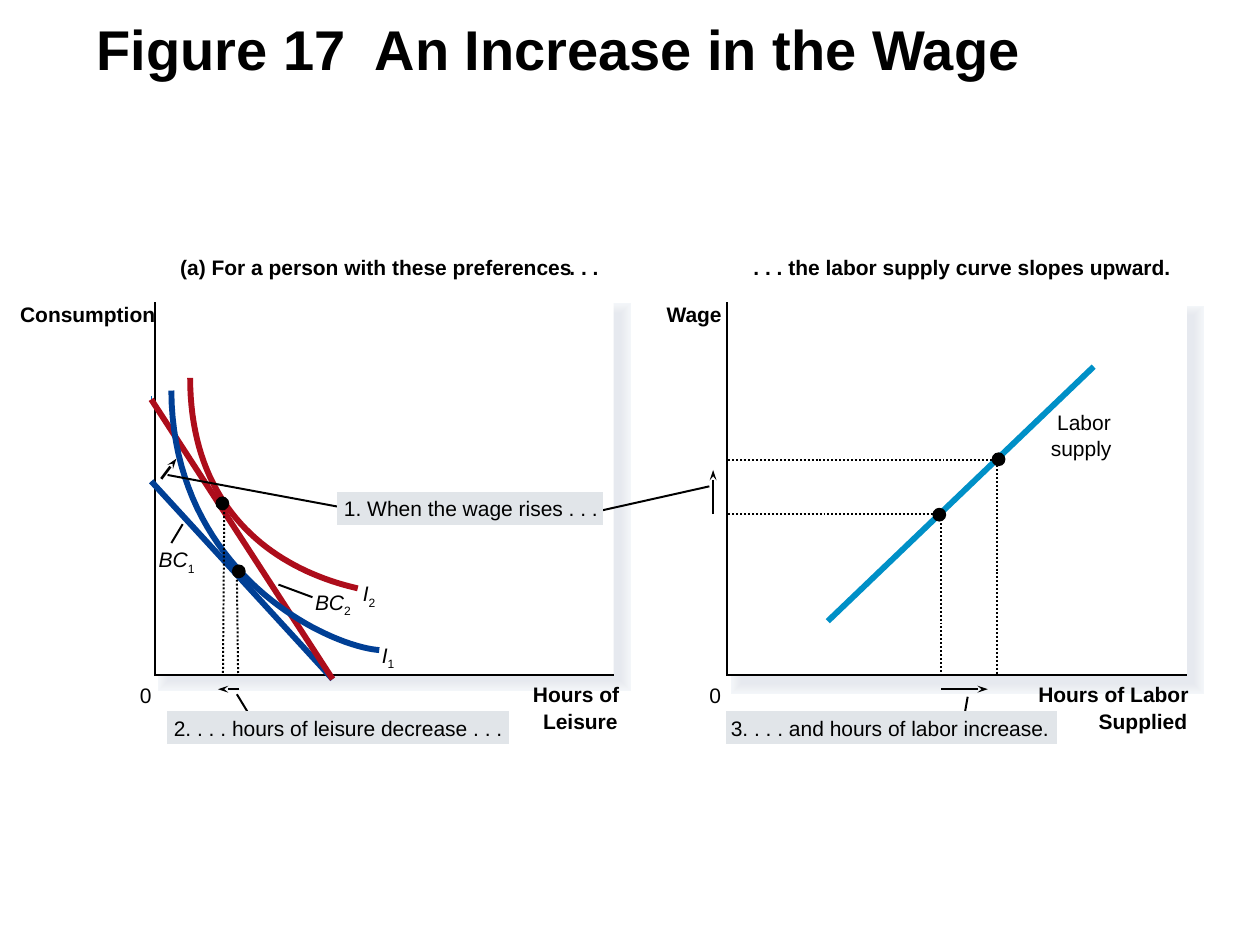
from pptx import Presentation
from pptx.dml.color import RGBColor
from pptx.enum.dml import MSO_LINE
from pptx.enum.shapes import MSO_CONNECTOR, MSO_SHAPE
from pptx.enum.text import MSO_ANCHOR, MSO_AUTO_SIZE, PP_ALIGN
from pptx.oxml.ns import qn
from pptx.util import Inches, Pt
from lxml.etree import SubElement

BLACK, WHITE, GRAY = "000000", "FFFFFF", "E1E5E9"
BLUE, RED, CYAN = "003F95", "AD0D1B", "0090C7"
THICK, THIN, ARROW = 3.37, 1.13, 1.5

TITLE = "Figure 17  An Increase in the Wage"
SHADOWS = [(1.34, 2.49, 3.58, 2.91), (5.89, 2.51, 3.58, 2.91)]
SHADOW_LAYERS = [
    ("F3F6F9", 12.25), ("F2F4F8", 11.11), ("F1F4F7", 10), ("F0F2F5", 8.87),
    ("EEF1F4", 7.75), ("EDEFF3", 6.63), ("EBEEF2", 5.5), ("EAECF1", 4.5),
    ("E9EBF0", 3.37), ("E7EAEF", 2.25), ("E6E9EF", 1.13),
]
PANELS = [(1.23, 2.4, 3.64, 2.96), (5.77, 2.4, 3.65, 2.96)]

STRAIGHT_CURVES = [
    ((1.2, 3.17), (1.21, 3.17), "0069B5"),
    ((1.2, 3.82), (2.64, 5.39), BLUE),
    ((2.64, 5.39), (1.2, 3.17), RED),
    ((8.68, 2.91), (6.57, 4.93), CYAN),
]
INDIFFERENCE_CURVES = [
    ([(1.36, 3.1), (1.37, 4.56), (2.61, 5.13), (3.01, 5.16)], BLUE),
    ([(1.51, 3), (1.51, 4.02), (2.14, 4.51), (2.84, 4.67)], RED),
]
ARROWS = [
    ((1.9, 5.47), (1.73, 5.47)),
    ((7.47, 5.47), (7.84, 5.47)),
    ((1.28, 3.8), (1.4, 3.64)),
    ((5.66, 4.08), (5.66, 3.73)),
]
LEADERS = [
    ((2.48, 4.74), (2.21, 4.64)),
    ((1.45, 4.16), (1.36, 4.31)),
    ((1.88, 5.51), (2.02, 5.74)),
    ((7.68, 5.53), (7.64, 5.76)),
    ((2.73, 4.03), (1.33, 3.77)),
    ((4.78, 4.05), (5.63, 3.86)),
]
LEISURE_GUIDES = [((1.77, 5.34), (1.78, 4)), ((1.88, 4.57), (1.89, 5.36))]
LABOR_GUIDES = [
    [(5.78, 4.08), (7.47, 4.08), (7.47, 5.34)],
    [(5.78, 3.65), (7.91, 3.65), (7.91, 5.36)],
]
DOTS = [(1.71, 3.94), (1.84, 4.48), (7.4, 4.03), (7.87, 3.59)]
DOT_SIZE = 0.11

CALLOUTS = [
    ("1. When the wage rises . . .", (2.68, 3.91, 2.1, 0.25), 0.05),
    ("2. . . . hours of leisure decrease . . .", (1.33, 5.65, 2.7, 0.25), 0.05),
    ("3. . . . and hours of labor increase.", (5.77, 5.65, 2.61, 0.25), 0.03),
]
BOLD_LABELS = [
    ("(a) For a person with these preferences", 1.43, 2.02, 3.18),
    (". . .", 4.52, 2.02, 0.26),
    (". . . the labor supply curve slopes upward.", 5.98, 2.02, 3.34),
    ("Consumption", 0.16, 2.39, 1.1),
    ("Wage", 5.29, 2.39, 0.47),
    ("Hours of", 4.23, 5.41, 0.71),
    ("Leisure", 4.31, 5.62, 0.62),
    ("Hours of Labor", 8.24, 5.41, 1.22),
    ("Supplied", 8.72, 5.62, 0.73),
]
PLAIN_LABELS = [
    ("0", 1.11, 5.42, 0.11),
    ("0", 5.63, 5.42, 0.11),
    ("Labor", 8.39, 3.25, 0.45),
    ("supply", 8.34, 3.46, 0.52),
]
CURVE_LABELS = [
    ("I", "1", 3.03, 5.1, 0.12),
    ("I", "2", 2.88, 4.61, 0.12),
    ("BC", "2", 2.5, 4.68, 0.31),
    ("BC", "1", 1.26, 4.34, 0.31),
]

presentation = Presentation()
presentation.slide_width, presentation.slide_height = Inches(10), Inches(7.5)
slide = presentation.slides.add_slide(presentation.slide_layouts[6])


def color(hex_text):
    return RGBColor.from_string(hex_text)


def style_line(shape, line_color, width, dotted=False):
    line = shape.line
    line.color.rgb = color(line_color)
    line.width = Pt(width)
    if dotted:
        line.dash_style = MSO_LINE.ROUND_DOT
    outline = shape._element.spPr.find(qn("a:ln"))
    SubElement(outline, qn("a:miter"), lim="800000")
    return outline


def add_block(box, fill, line_width=0, kind=MSO_SHAPE.RECTANGLE):
    shape = slide.shapes.add_shape(kind, *map(Inches, box))
    shape.shadow.inherit = False
    shape.fill.solid()
    shape.fill.fore_color.rgb = color(fill)
    if line_width:
        style_line(shape, fill, line_width)
    else:
        shape.line.fill.background()
    return shape


def add_line(start, end, line_color=BLACK, width=THIN, dotted=False, arrow=False):
    connector = slide.shapes.add_connector(
        MSO_CONNECTOR.STRAIGHT, *map(Inches, start + end))
    outline = style_line(connector, line_color, width, dotted)
    if arrow:
        SubElement(outline, qn("a:tailEnd"), type="stealth", w="sm", len="med")
    SubElement(connector._element.spPr, qn("a:effectLst"))


def add_path(points, line_color=BLACK, width=THIN, dotted=False):
    corners = [(Inches(x), Inches(y)) for x, y in points]
    builder = slide.shapes.build_freeform(*corners[0])
    builder.add_line_segments(corners[1:], close=False)
    shape = builder.convert_to_shape()
    shape.shadow.inherit = False
    shape.fill.background()
    style_line(shape, line_color, width, dotted)


def bezier(controls, steps=40):
    points = []
    for step in range(steps + 1):
        t = step / steps
        weights = ((1 - t) ** 3, 3 * t * (1 - t) ** 2, 3 * t ** 2 * (1 - t), t ** 3)
        points.append(tuple(
            sum(weight * control[axis] for weight, control in zip(weights, controls))
            for axis in (0, 1)))
    return points


def write_text(shape, text, size=12, bold=False, italic=False, subscript="",
               insets=(0, 0, 0, 0), anchor=MSO_ANCHOR.TOP, wrap=False, spacing=None):
    frame = shape.text_frame
    frame.word_wrap = wrap
    frame.auto_size = MSO_AUTO_SIZE.NONE if wrap else MSO_AUTO_SIZE.SHAPE_TO_FIT_TEXT
    frame.vertical_anchor = anchor
    (frame.margin_left, frame.margin_top,
     frame.margin_right, frame.margin_bottom) = map(Inches, insets)
    paragraph = frame.paragraphs[0]
    paragraph.alignment = PP_ALIGN.LEFT
    if spacing:
        paragraph.line_spacing = spacing
    for content, lowered in ((text, False), (subscript, True)):
        if not content:
            continue
        run = paragraph.add_run()
        run.text = content
        run.font.name = "Arial"
        run.font.size = Pt(size)
        run.font.bold = bold
        run.font.italic = italic and not lowered
        run.font.color.rgb = color(BLACK)
        if lowered:
            run._r.get_or_add_rPr().set("baseline", "-25000")


def add_label(text, left, top, width, height=0.2, **text_format):
    box = slide.shapes.add_textbox(*map(Inches, (left, top, width, height)))
    write_text(box, text, **text_format)


add_label(TITLE, 0.67, 0.06, 9, 0.75, size=32, bold=True, wrap=True, spacing=0.8,
          insets=(0.1, 0.05, 0.1, 0.05), anchor=MSO_ANCHOR.MIDDLE)
for box in SHADOWS:
    for layer_color, layer_width in SHADOW_LAYERS:
        add_block(box, layer_color, layer_width)
for box in PANELS:
    add_block(box, WHITE)
for left, top, width, height in PANELS:
    bottom = top + height
    add_path([(left, top), (left, bottom), (left + width, bottom)])
for start, end, line_color in STRAIGHT_CURVES:
    add_line(start, end, line_color, THICK)
for controls, line_color in INDIFFERENCE_CURVES:
    add_path(bezier(controls), line_color, THICK)
for start, end in ARROWS:
    add_line(start, end, width=ARROW, arrow=True)
for start, end in LEADERS:
    add_line(start, end)
for start, end in LEISURE_GUIDES:
    add_line(start, end, dotted=True)
for points in LABOR_GUIDES:
    add_path(points, dotted=True)
for left, top in DOTS:
    add_block((left, top, DOT_SIZE, DOT_SIZE), BLACK, kind=MSO_SHAPE.OVAL)
for text, box, indent in CALLOUTS:
    write_text(add_block(box, GRAY, THIN), text, wrap=True,
               insets=(indent, 0, 0, 0), anchor=MSO_ANCHOR.MIDDLE)
for label in BOLD_LABELS:
    add_label(*label, bold=True)
for label in PLAIN_LABELS:
    add_label(*label)
for name, number, left, top, width in CURVE_LABELS:
    add_label(name, left, top, width, 0.23, italic=True, subscript=number)
presentation.save("out.pptx")
